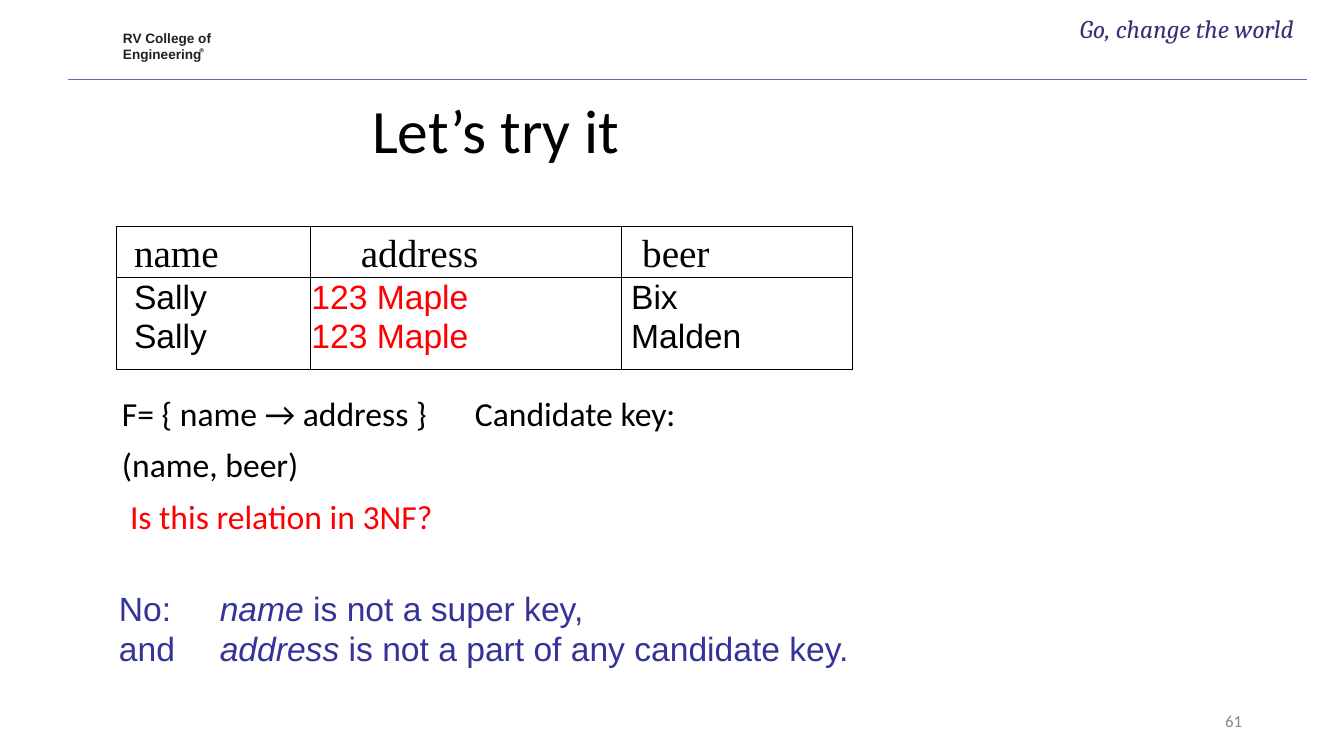
"""Build a slide that asks whether a relation is in third normal form."""
from dataclasses import dataclass

from lxml.etree import SubElement
from pptx import Presentation
from pptx.dml.color import RGBColor
from pptx.enum.shapes import MSO_CONNECTOR, MSO_SHAPE
from pptx.enum.text import MSO_ANCHOR as Anchor, MSO_AUTO_SIZE as AutoSize, PP_ALIGN as Align
from pptx.oxml.ns import qn
from pptx.slide import Slide
from pptx.text.text import TextFrame
from pptx.util import Inches, Pt

BLACK = RGBColor(0x00, 0x00, 0x00)
INK = RGBColor(0x23, 0x1F, 0x20)
RED = RGBColor(0xFF, 0x00, 0x00)
NAVY = RGBColor(0x33, 0x33, 0x99)
PURPLE = RGBColor(0x42, 0x2C, 0x75)
RULE_BLUE = RGBColor(0x5E, 0x6D, 0xB3)
GREY = RGBColor(0x89, 0x89, 0x89)


@dataclass
class Line:
    """A paragraph as (text, italic) pieces with its format."""
    pieces: list[tuple[str, bool]]
    size: float
    font: str
    color: RGBColor
    bold: bool = False
    indent: float = 0.01
    spacing: float | Pt = 1.0
    before: float = 0
    tab: float | None = None
    align: Align = Align.LEFT


@dataclass
class Column:
    """A table column with its heading and values."""
    width: float
    heading: str
    heading_indent: float
    values: list[str]
    indent: float
    color: RGBColor = BLACK


def write(frame: TextFrame, lines: list[Line]) -> None:
    """Fill a text frame with formatted lines."""
    for index, line in enumerate(lines):
        paragraph = frame.paragraphs[0] if index == 0 else frame.add_paragraph()
        paragraph.alignment = line.align
        paragraph.line_spacing = line.spacing
        paragraph.space_before = Pt(line.before)
        properties = paragraph._p.get_or_add_pPr()
        properties.set("marL", str(Inches(line.indent)))
        properties.set("indent", "0")
        SubElement(properties, qn("a:buNone"))
        if line.tab is not None:
            tabs = SubElement(properties, qn("a:tabLst"))
            SubElement(tabs, qn("a:tab"), pos=str(Inches(line.tab)), algn="l")
        font = paragraph.font
        font.size, font.name, font.bold = Pt(line.size), line.font, line.bold
        font.color.rgb = line.color
        for text, italic in line.pieces:
            run = paragraph.add_run()
            run.text = text
            if italic:
                run.font.italic = True


def prepare(frame: TextFrame, top: float = 0.01, anchor: Anchor = Anchor.TOP) -> None:
    """Set the margins, wrapping and anchor of a text frame."""
    frame.word_wrap = True
    frame.auto_size = AutoSize.NONE
    frame.vertical_anchor = anchor
    frame.margin_left = frame.margin_right = frame.margin_bottom = 0
    frame.margin_top = Inches(top)


def place(shape, left: float, top: float, width: float, height: float) -> None:
    """Move and size a placeholder."""
    shape.left, shape.top = Inches(left), Inches(top)
    shape.width, shape.height = Inches(width), Inches(height)


def add_text(slide: Slide, box: tuple[float, float, float, float], lines: list[Line],
             anchor: Anchor = Anchor.TOP) -> None:
    """Add a text box holding the lines."""
    frame = slide.shapes.add_textbox(*map(Inches, box)).text_frame
    prepare(frame, anchor=anchor)
    write(frame, lines)


def add_registered_mark(slide: Slide) -> None:
    """Draw the small ringed R beside the college name."""
    ring = slide.shapes.add_shape(MSO_SHAPE.DONUT, *map(Inches, (1.98, 0.48, 0.04, 0.04)))
    ring.adjustments[0] = 0.08
    pen = slide.shapes.build_freeform(199, 51, scale=Inches(0.01))
    pen.add_line_segments([(199, 49), (201, 49), (201, 50), (200, 50), (201, 51), (200, 50)])
    for piece in (ring, pen.convert_to_shape()):
        piece.shadow.inherit = False
        piece.fill.solid()
        piece.fill.fore_color.rgb = INK
        piece.line.fill.background()


def add_divider(slide: Slide) -> None:
    """Draw the rule under the header."""
    y = Inches(0.79)
    rule = slide.shapes.add_connector(MSO_CONNECTOR.STRAIGHT, Inches(0.67), y, Inches(12.96), y)
    rule.line.color.rgb = RULE_BLUE
    rule.line.width = Pt(1.25)
    SubElement(rule._element.spPr, qn("a:effectLst"))


def fill_cell(cell, lines: list[Line], top: float) -> None:
    """Write a bordered, unfilled table cell."""
    cell.margin_left = cell.margin_right = cell.margin_bottom = 0
    cell.margin_top = Inches(top)
    properties = cell._tc.get_or_add_tcPr()
    for side in ("lnL", "lnR", "lnT", "lnB"):
        border = SubElement(properties, qn(f"a:{side}"), w=str(Pt(0.75)))
        paint = SubElement(border, qn("a:solidFill"))
        SubElement(paint, qn("a:srgbClr"), val=str(BLACK))
    cell.fill.background()
    write(cell.text_frame, lines)


def add_relation(slide: Slide, columns: list[Column]) -> None:
    """Add the table of the relation."""
    box = map(Inches, (1.16, 2.25, 7.3, 1.42))
    relation = slide.shapes.add_table(2, len(columns), *box).table
    relation.first_row = relation.horz_banding = False
    for row, height in zip(relation.rows, (0.5, 0.92)):
        row.height = Inches(height)
    for index, column in enumerate(columns):
        relation.columns[index].width = Inches(column.width)
        heading = Line([(column.heading, False)], 28, "Times New Roman", BLACK,
                       indent=column.heading_indent, spacing=Pt(33))
        values = [Line([(value, False)], 24, "Arial", column.color,
                       indent=column.indent, spacing=Pt(28))
                  for value in column.values]
        fill_cell(relation.cell(0, index), [heading], 0.03)
        fill_cell(relation.cell(1, index), values, 0)


def question(text: str, color: RGBColor = BLACK, indent: float = 0.08,
             before: float = 1.5, tab: float | None = None) -> Line:
    """Describe a line of the question."""
    return Line([(text, False)], 24, "Calibri", color, indent=indent,
                spacing=1.22, before=before, tab=tab)


def answer(lead: str, attribute: str, rest: str, before: float = 0) -> Line:
    """Describe a line of the answer."""
    return Line([(f"{lead}\t", False), (attribute, True), (rest, False)], 24, "Arial", NAVY,
                indent=0.05, before=before, tab=1.05)


def main() -> None:
    """Build and save the slide."""
    deck = Presentation()
    deck.slide_width, deck.slide_height = Inches(13.33), Inches(7.5)
    slide = deck.slides.add_slide(deck.slide_layouts[1])

    add_registered_mark(slide)
    add_text(slide, (1.21, 0.3, 0.95, 0.33), [
        Line([(text, False)], 9.7, "Arial", INK, bold=True, spacing=Pt(10.8), before=before)
        for text, before in (("RV College of", 0), ("Engineering", 0.8))])
    add_divider(slide)
    add_text(slide, (9.42, 6.95, 2.9, 0.4),
             [Line([("61", False)], 12, "Calibri", GREY, align=Align.RIGHT)], Anchor.MIDDLE)
    add_text(slide, (10.7, 0.12, 2.26, 0.62),
             [Line([("Go, change the world", True)], 18.2, "Cambria", PURPLE)])

    title = slide.shapes.title
    place(title, 3.68, 0.89, 4.07, 0.76)
    prepare(title.text_frame, anchor=Anchor.MIDDLE)
    write(title.text_frame, [Line([("Let’s try it", False)], 44, "Calibri", BLACK)])

    body = slide.placeholders[1]
    place(body, 1.13, 3.79, 11.23, 2.88)
    prepare(body.text_frame, top=0.02)
    write(body.text_frame, [
        question("F= { name → address }\tCandidate key:", before=0, tab=3.17),
        question("(name, beer)"),
        question("Is this relation in 3NF?", RED, indent=0.16),
        answer("No:", "name", " is not a super key,", before=37),
        answer("and", "address", " is not a part of any candidate key.")])

    add_relation(slide, [
        Column(1.92, "name", 0.17, ["Sally", "Sally"], 0.17),
        Column(3.08, "address", 0.5, ["123 Maple", "123 Maple"], 0.01, RED),
        Column(2.3, "beer", 0.21, ["Bix", "Malden"], 0.1)])
    deck.save("out.pptx")


if __name__ == "__main__":
    main()
